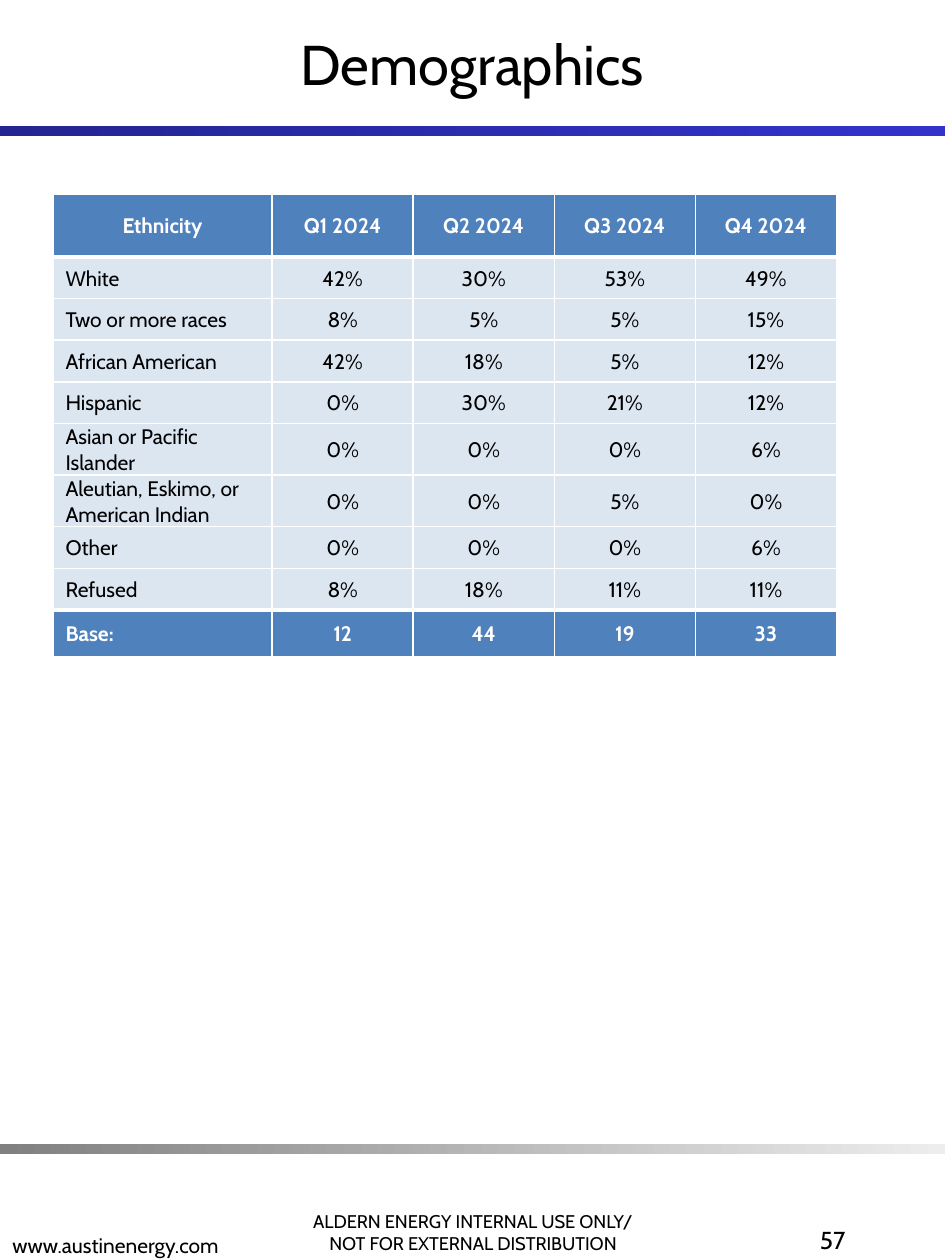
from lxml import etree
from pptx import Presentation
from pptx.dml.color import RGBColor
from pptx.enum import shapes, text
from pptx.oxml import ns
from pptx.util import Inches, Pt

FONT = "Cabin"
COLORS = {
    "text": "000000", "white": "FFFFFF", "header": "4F81BD", "body": "DCE6F1",
    "navy": "242492", "blue": "3333CC", "gray": "808080", "silver": "EDEDED",
}
LEFT, CENTER, RIGHT = text.PP_ALIGN.LEFT, text.PP_ALIGN.CENTER, text.PP_ALIGN.RIGHT
TOP, MIDDLE, BOTTOM = text.MSO_ANCHOR.TOP, text.MSO_ANCHOR.MIDDLE, text.MSO_ANCHOR.BOTTOM


def write(frame, lines, size, align, color="text", bold=False):
    for index, line in enumerate(lines):
        para = frame.add_paragraph() if index else frame.paragraphs[0]
        para.alignment = align
        span = para.add_run()
        span.text = line
        span.font.name = FONT
        span.font.size = Pt(size)
        span.font.bold = bold
        span.font.color.rgb = RGBColor.from_string(COLORS[color])


def set_borders(cell, top, bottom):
    properties = cell._tc.get_or_add_tcPr()
    for index, (side, width) in enumerate(zip("LRTB", (1, 1, top, bottom))):
        line = etree.Element(ns.qn(f"a:ln{side}"), w=str(Pt(width)))
        fill = etree.SubElement(line, ns.qn("a:solidFill"))
        etree.SubElement(fill, ns.qn("a:srgbClr"), val=COLORS["white"])
        properties.insert(index, line)


deck = Presentation()
deck.slide_width, deck.slide_height = Inches(7.5), Inches(10)
page = deck.slides.add_slide(deck.slide_layouts[6])

# Gradient bars under the title and above the footer
for y, start, end in ((1, "navy", "blue"), (9.08, "gray", "silver")):
    bar = page.shapes.add_shape(
        shapes.MSO_SHAPE.RECTANGLE, 0, Inches(y), Inches(7.5), Inches(0.08))
    bar.shadow.inherit = False
    bar.line.fill.background()
    bar.fill.gradient()
    bar.fill.gradient_angle = 0
    for stop, name in zip(bar.fill.gradient_stops, (start, end)):
        stop.color.rgb = RGBColor.from_string(COLORS[name])

# Title, footer and page number
footer = ["ALDERN ENERGY INTERNAL USE ONLY/", "NOT FOR EXTERNAL DISTRIBUTION"]
for area, lines, size, align, anchor in (
    ((0, 0, 7.5, 1), ["Demographics"], 32, CENTER, MIDDLE),
    ((2.16, 9.33, 3.19, 0.67), footer, 10.5, CENTER, BOTTOM),
    ((0, 9.36, 3.19, 0.67), ["www.austinenergy.com"], 12, LEFT, BOTTOM),
    ((5.25, 9.67, 1.56, 0.67), ["57"], 14, RIGHT, TOP),
):
    box = page.shapes.add_textbox(*map(Inches, area))
    box.text_frame.word_wrap = True
    box.text_frame.vertical_anchor = anchor
    write(box.text_frame, lines, size, align)

# Ethnicity table
rows = [
    ("Ethnicity", "Q1 2024", "Q2 2024", "Q3 2024", "Q4 2024"),
    ("White", "42%", "30%", "53%", "49%"),
    ("Two or more races", "8%", "5%", "5%", "15%"),
    ("African American", "42%", "18%", "5%", "12%"),
    ("Hispanic", "0%", "30%", "21%", "12%"),
    ("Asian or Pacific Islander", "0%", "0%", "0%", "6%"),
    ("Aleutian, Eskimo, or American Indian", "0%", "0%", "5%", "0%"),
    ("Other", "0%", "0%", "0%", "6%"),
    ("Refused", "8%", "18%", "11%", "11%"),
    ("Base:", "12", "44", "19", "33"),
]
last = len(rows) - 1
table = page.shapes.add_table(
    len(rows), 5, Inches(0.42), Inches(1.54), Inches(6.24), Inches(3.66)).table
table.first_row = table.horz_banding = False
for index, column in enumerate(table.columns):
    column.width = Inches(1.12 if index else 1.74)

for r, values in enumerate(rows):
    table.rows[r].height = Inches({0: 0.5, last: 0.37}.get(r, 0.33))
    strong = r in (0, last)
    for c, value in enumerate(values):
        cell = table.cell(r, c)
        is_label = c == 0 and r > 0
        cell.margin_left = Inches(0.1 if is_label else 0.01)
        cell.margin_top = cell.margin_right = Inches(0.01)
        cell.margin_bottom = 0
        # Labels that wrap to two lines start at the top
        cell.vertical_anchor = TOP if is_label and len(value) > 20 else MIDDLE
        cell.fill.solid()
        cell.fill.fore_color.rgb = RGBColor.from_string(
            COLORS["header" if strong else "body"])
        # Thick rules separate the header and base rows
        set_borders(cell, 3 if r in (1, last) else 1, 3 if r in (0, last - 1) else 1)
        write(cell.text_frame, [value], 12, LEFT if is_label else CENTER,
              "white" if strong else "text", strong)

deck.save("out.pptx")
